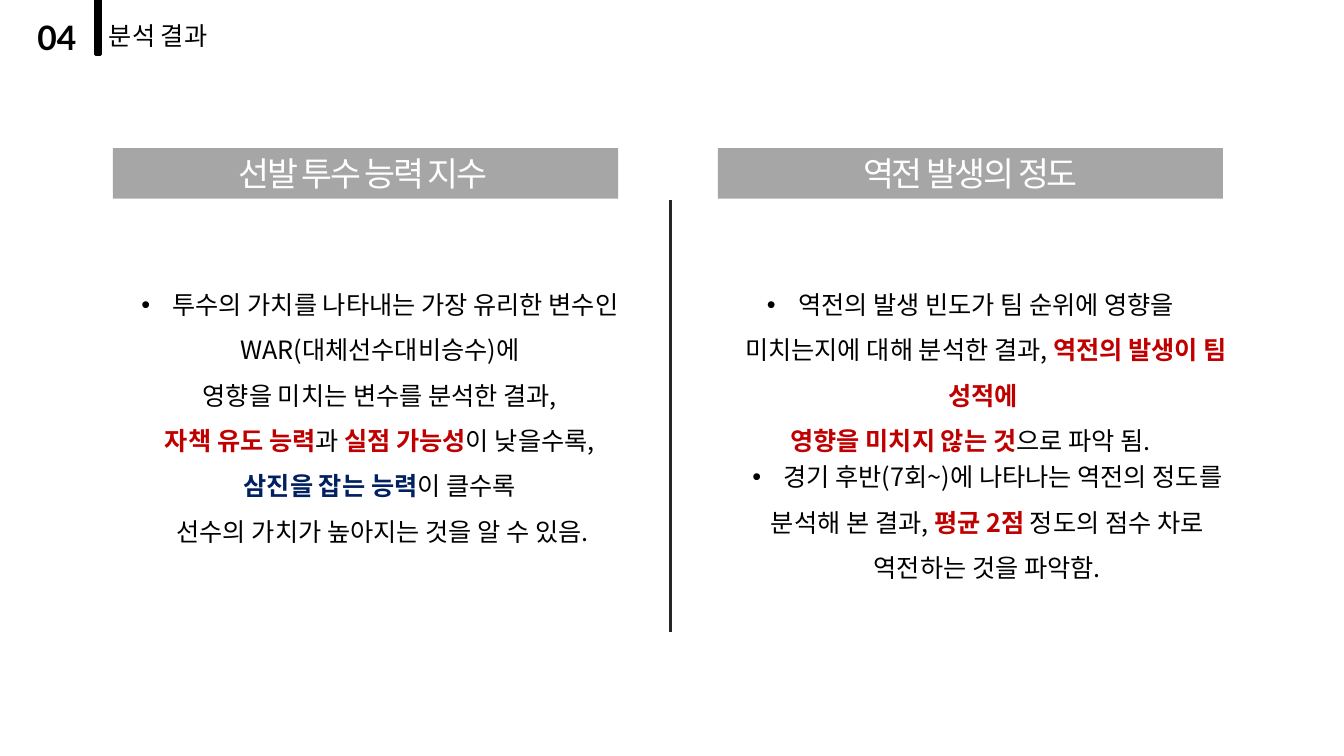
from lxml.etree import SubElement
from pptx import Presentation
from pptx.dml.color import RGBColor
from pptx.enum.shapes import MSO_CONNECTOR, MSO_SHAPE
from pptx.enum.text import MSO_ANCHOR, MSO_AUTO_SIZE, PP_ALIGN
from pptx.oxml.ns import qn
from pptx.util import Inches, Pt

BLACK = RGBColor(0x00, 0x00, 0x00)
WHITE = RGBColor(0xFF, 0xFF, 0xFF)
CHARCOAL = RGBColor(0x26, 0x26, 0x26)
GRAY = RGBColor(0xA6, 0xA6, 0xA6)
RED = RGBColor(0xC0, 0x00, 0x00)
NAVY = RGBColor(0x00, 0x20, 0x60)
KOREAN = "Noto Sans CJK KR"


def add_run(paragraph, text, size, color, bold=False, face=KOREAN):
    run = paragraph.add_run()
    run.text = text
    run.font.size = Pt(size)
    run.font.bold = bold
    run.font.color.rgb = color
    run.font.name = face
    SubElement(run.font._element, qn("a:ea"), typeface=face)
    return run


def set_insets(frame):
    frame.margin_left = frame.margin_right = Inches(0.08)
    frame.margin_top = frame.margin_bottom = Inches(0.04)


prs = Presentation()
prs.slide_width = Inches(13.33)
prs.slide_height = Inches(7.5)
slide = prs.slides.add_slide(prs.slide_layouts[5])
shapes = slide.shapes

divider = shapes.add_connector(
    MSO_CONNECTOR.STRAIGHT, Inches(6.65), Inches(1.98), Inches(6.65), Inches(6.27))
divider.line.color.rgb = CHARCOAL
divider.line.width = Pt(2.25)
SubElement(divider._element.spPr, qn("a:effectLst"))

findings = [
    ((6.94, 2.67, 5.37, 1.46), [
        [("역전의 발생 빈도가 팀 순위에 영향을 미치는지에 대해 분석한 결과, ", BLACK),
         ("역전의 발생이 팀 성적에 ", RED)],
        [("영향을 미치지 않는 것", RED), ("으로 파악 됨.", BLACK)],
    ]),
    ((7.15, 4.38, 5.34, 1.46), [
        [("경기 후반(7회~)에 나타나는 역전의 정도를 ", BLACK)],
        [("분석해 본 결과, ", BLACK), ("평균 2점 ", RED), ("정도의 점수 차로 ", BLACK)],
        [("역전하는 것을 파악함. ", BLACK)],
    ]),
    ((0.93, 2.67, 5.73, 2.83), [
        [("투수의 가치를 나타내는 가장 유리한 변수인 ", BLACK)],
        [("WAR(대체선수대비승수)에 ", BLACK)],
        [("영향을 미치는 변수를 분석한 결과, ", BLACK)],
        [("자책 유도 능력", RED), ("과 ", BLACK), ("실점 가능성", RED), ("이 낮을수록, ", BLACK)],
        [("삼진을 잡는 능력", NAVY), ("이 클수록 ", BLACK)],
        [("선수의 가치가 높아지는 것을 알 수 있음.", BLACK)],
    ]),
]
for place, lines in findings:
    finding = shapes.add_textbox(*map(Inches, place)).text_frame
    finding.word_wrap = True
    finding.auto_size = MSO_AUTO_SIZE.SHAPE_TO_FIT_TEXT
    for index, line in enumerate(lines):
        paragraph = finding.paragraphs[0] if index == 0 else finding.add_paragraph()
        paragraph.alignment = PP_ALIGN.CENTER
        paragraph.line_spacing = 1.5
        if index == 0:
            props = paragraph._p.get_or_add_pPr()
            props.set("marL", str(Inches(0.31)))
            props.set("indent", str(-Inches(0.31)))
            SubElement(props, qn("a:buFont"), typeface="Arial")
            SubElement(props, qn("a:buChar"), char="•")
        for text, color in line:
            add_run(paragraph, text, 18, color, bold=color != BLACK)

for left, heading in [(1.12, "선발 투수 능력 지수 "), (7.12, "역전 발생의 정도")]:
    banner = shapes.add_shape(
        MSO_SHAPE.RECTANGLE, Inches(left), Inches(1.47), Inches(5.01), Inches(0.5))
    banner.shadow.inherit = False
    banner.fill.solid()
    banner.fill.fore_color.rgb = GRAY
    banner.line.fill.background()
    banner.text_frame.vertical_anchor = MSO_ANCHOR.MIDDLE
    paragraph = banner.text_frame.paragraphs[0]
    paragraph.alignment = PP_ALIGN.CENTER
    add_run(paragraph, heading, 24, WHITE).font._element.set("spc", "-150")

title_bar = shapes.add_shape(
    MSO_SHAPE.RECTANGLE, Inches(0.61), Inches(0.15), Inches(0.73), Inches(0.05))
title_bar.rotation = 270
title_bar.shadow.inherit = False
title_bar.fill.solid()
title_bar.fill.fore_color.rgb = BLACK
title_bar.line.color.rgb = BLACK
title_bar.line.width = Pt(2)

section = shapes.add_textbox(
    Inches(0.13), Inches(0.13), Inches(0.87), Inches(0.48)).text_frame
section.word_wrap = True
section.auto_size = MSO_AUTO_SIZE.SHAPE_TO_FIT_TEXT
set_insets(section)
section.paragraphs[0].alignment = PP_ALIGN.CENTER
add_run(section.paragraphs[0], "04", 24, BLACK, bold=True, face="Lato")

title = shapes.title
title.left, title.top = Inches(1), Inches(0.16)
title.width, title.height = Inches(2.67), Inches(0.39)
title.text_frame.auto_size = MSO_AUTO_SIZE.NONE
title.text_frame.vertical_anchor = MSO_ANCHOR.TOP
set_insets(title.text_frame)
title.text_frame.paragraphs[0].alignment = PP_ALIGN.LEFT
add_run(title.text_frame.paragraphs[0], "분석 결과", 18, BLACK)

prs.save("out.pptx")
